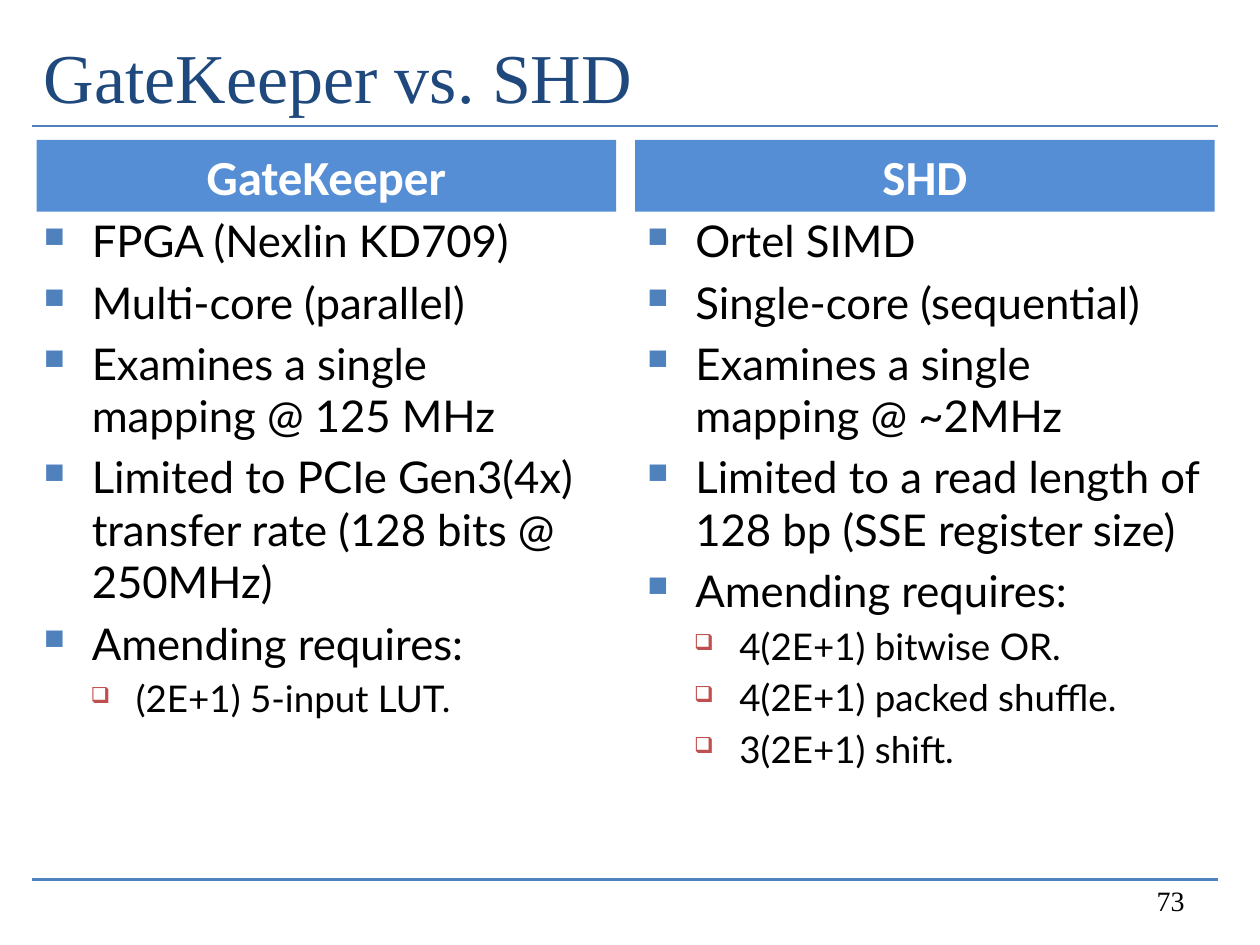
from lxml.etree import SubElement
from pptx import Presentation
from pptx.dml.color import RGBColor
from pptx.enum.shapes import MSO_CONNECTOR, MSO_SHAPE
from pptx.enum.text import MSO_ANCHOR, PP_ALIGN
from pptx.oxml.ns import qn
from pptx.util import Inches, Pt

BLUE = RGBColor(0x4F, 0x81, 0xBD)
RED = RGBColor(0xC0, 0x50, 0x4D)
NAVY = RGBColor(0x1F, 0x49, 0x7D)
HEADER_BLUE = RGBColor(0x55, 0x8E, 0xD5)
BLACK = RGBColor(0, 0, 0)
WHITE = RGBColor(0xFF, 0xFF, 0xFF)

MARGIN, CONTENT_WIDTH = 0.25, 9.42
COLUMN_WIDTH, HEADER_WIDTH = 4.62, 4.6
HEADER_TOP, HEADER_HEIGHT = 1.11, 0.57
BODY_TOP, BODY_HEIGHT = 1.65, 5.33
SERIF = "Times New Roman"

LEVELS = [
    {"size": 25, "indent": 0.38, "hanging": 0.38, "mark": "■", "color": BLUE, "percent": 65},
    {"size": 21, "indent": 0.73, "hanging": 0.36, "mark": "❑", "color": RED, "percent": 60},
]

COLUMNS = [
    ("GateKeeper", 0.29, 0.25, [
        ("FPGA (Nexlin KD709)", 0),
        ("Multi-core (parallel)", 0),
        ("Examines a single mapping @ 125 MHz", 0),
        ("Limited to PCIe Gen3(4x) transfer rate (128 bits @ 250MHz)", 0),
        ("Amending requires:", 0),
        ("(2E+1) 5-input LUT.", 1),
    ]),
    ("SHD", 5.04, 5.04, [
        ("Ortel SIMD", 0),
        ("Single-core (sequential)", 0),
        ("Examines a single mapping @ ~2MHz", 0),
        ("Limited to a read length of 128 bp (SSE register size)", 0),
        ("Amending requires:", 0),
        ("4(2E+1) bitwise OR.", 1),
        ("4(2E+1) packed shuffle.", 1),
        ("3(2E+1) shift.", 1),
    ]),
]


def add_span(para, text, size, font, color, bold=False):
    """Add one formatted run to a paragraph."""
    span = para.add_run()
    span.text = text
    span.font.size = Pt(size)
    span.font.name = font
    span.font.color.rgb = color
    span.font.bold = bold


def add_box(page, left, top, width, height, anchor=MSO_ANCHOR.TOP):
    """Add a wrapping text box and return its text frame."""
    box = page.shapes.add_textbox(Inches(left), Inches(top), Inches(width), Inches(height))
    frame = box.text_frame
    frame.word_wrap = True
    frame.vertical_anchor = anchor
    return frame


def add_rule(page, height):
    """Draw a horizontal line across the content width."""
    rule = page.shapes.add_connector(
        MSO_CONNECTOR.STRAIGHT, Inches(MARGIN), Inches(height),
        Inches(MARGIN + CONTENT_WIDTH), Inches(height))
    rule.line.color.rgb = BLUE
    rule.line.width = Pt(1.5)
    SubElement(rule._element.spPr, qn("a:effectLst"))


def add_header(page, text, left):
    """Add the filled heading of a column."""
    header = page.shapes.add_shape(
        MSO_SHAPE.RECTANGLE, Inches(left), Inches(HEADER_TOP),
        Inches(HEADER_WIDTH), Inches(HEADER_HEIGHT))
    header.shadow.inherit = False
    header.fill.solid()
    header.fill.fore_color.rgb = HEADER_BLUE
    header.line.fill.background()
    header.text_frame.vertical_anchor = MSO_ANCHOR.MIDDLE
    para = header.text_frame.paragraphs[0]
    para.alignment = PP_ALIGN.CENTER
    add_span(para, text, 28, "Calibri", WHITE, bold=True)


def set_bullet(para, level):
    """Give a paragraph the indent and bullet of its level."""
    properties = para._p.get_or_add_pPr()
    properties.set("marL", str(Inches(level["indent"])))
    properties.set("indent", str(-Inches(level["hanging"])))
    color = SubElement(properties, qn("a:buClr"))
    SubElement(color, qn("a:srgbClr"), val=str(level["color"]))
    SubElement(properties, qn("a:buSzPct"), val=str(level["percent"] * 1000))
    SubElement(properties, qn("a:buChar"), char=level["mark"])


def add_bullets(page, items, left):
    """Add the two-level list of a column."""
    frame = add_box(page, left, BODY_TOP, COLUMN_WIDTH, BODY_HEIGHT)
    for index, (text, depth) in enumerate(items):
        level = LEVELS[depth]
        para = frame.add_paragraph() if index else frame.paragraphs[0]
        para.level = depth
        para.space_before = Pt(level["size"] * 0.2 if index else 0)
        set_bullet(para, level)
        add_span(para, text, level["size"], "Lato", BLACK)


def main():
    """Build the comparison slide and save it."""
    deck = Presentation()
    deck.slide_width, deck.slide_height = Inches(10), Inches(7.5)
    page = deck.slides.add_slide(deck.slide_layouts[6])

    for height in (6.98, 1):
        add_rule(page, height)
    title = add_box(page, MARGIN, 0.22, CONTENT_WIDTH, 0.78)
    add_span(title.paragraphs[0], "GateKeeper vs. SHD", 40, SERIF, NAVY)

    for heading, header_left, body_left, items in COLUMNS:
        add_bullets(page, items, body_left)
        add_header(page, heading, header_left)

    number = add_box(page, 7.17, 6.83, 2.33, 0.5, MSO_ANCHOR.BOTTOM).paragraphs[0]
    number.alignment = PP_ALIGN.RIGHT
    add_span(number, "73", 16, SERIF, BLACK)
    deck.save("out.pptx")


if __name__ == "__main__":
    main()
